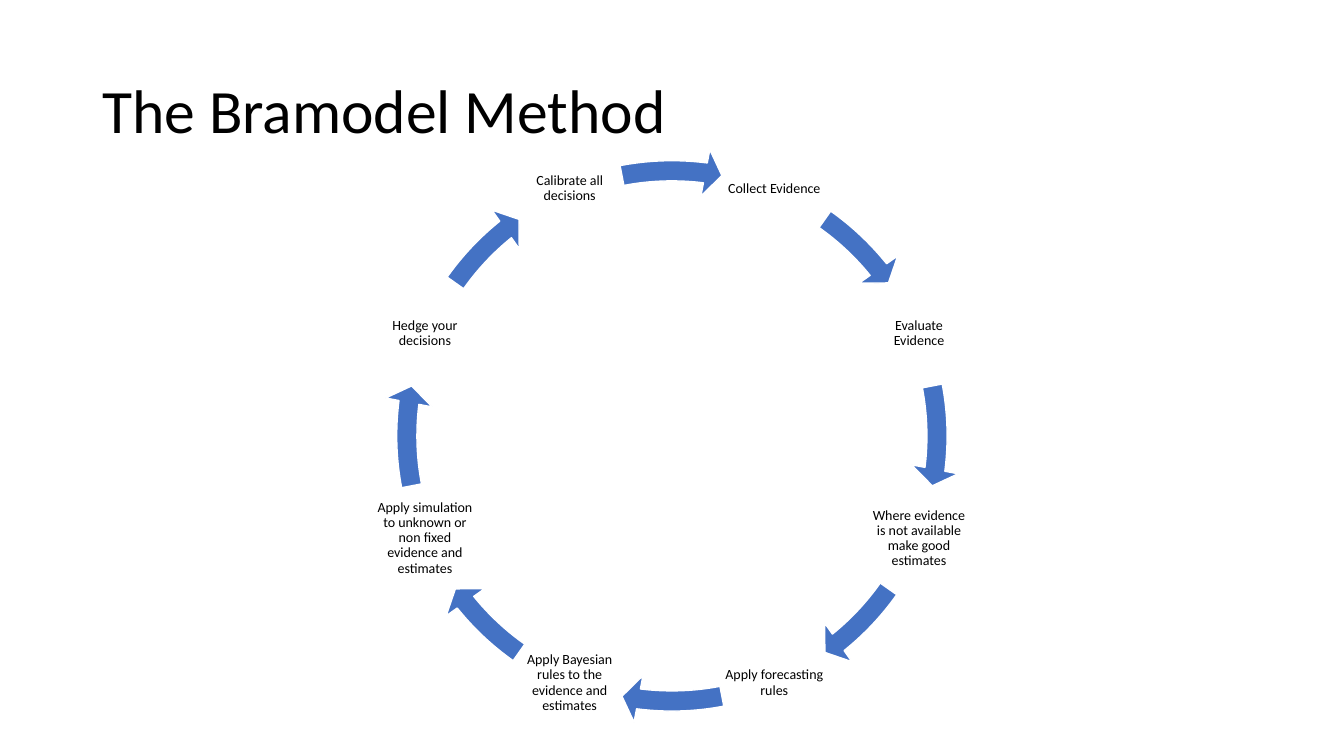
from dataclasses import dataclass
from math import cos, radians, sin

from pptx import Presentation
from pptx.dml.color import RGBColor
from pptx.enum.shapes import MSO_SHAPE
from pptx.enum.text import MSO_ANCHOR, PP_ALIGN
from pptx.slide import Slide
from pptx.util import Pt

CIRCULAR_ARROW = MSO_SHAPE.CIRCULAR_ARROW
MIDDLE = MSO_ANCHOR.MIDDLE
LEFT, CENTER = PP_ALIGN.LEFT, PP_ALIGN.CENTER

BLACK = RGBColor(0x00, 0x00, 0x00)
WHITE = RGBColor(0xFF, 0xFF, 0xFF)
BLUE = RGBColor(0x44, 0x72, 0xC4)
FONT = "Calibri"

CYCLE_X, CYCLE_Y = 480, 311.4
LABEL_RADIUS = 191
LABEL_SIZE = 74.16
ARROW_SIZE = 412.56
ARROW_THICKNESS = 0.035
ARROW_HEAD_WIDTH = 0.041
ARROW_HEAD_ANGLE = 3.62
# Start and end of the first two arrows, in degrees clockwise from the right;
# the pair repeats every quarter turn.
ARROW_SPANS = ((305.24, 321.14), (349.14, 7.24))
ADJUSTMENT_PER_DEGREE = 0.6

TITLE = "The Bramodel Method"
STEPS = (
    "Collect Evidence",
    "Evaluate Evidence",
    "Where evidence is not available make good estimates",
    "Apply forecasting rules",
    "Apply Bayesian rules to the evidence and estimates",
    "Apply simulation to unknown or non fixed evidence and estimates",
    "Hedge your decisions",
    "Calibrate all decisions",
)


@dataclass(frozen=True)
class Box:
    left: float
    top: float
    width: float
    height: float

    def lengths(self) -> tuple[Pt, Pt, Pt, Pt]:
        return Pt(self.left), Pt(self.top), Pt(self.width), Pt(self.height)


@dataclass(frozen=True)
class TextStyle:
    size: float
    alignment: PP_ALIGN
    margin_x: float
    margin_y: float
    space_after: float = 0


TITLE_BOX = Box(66, 28.8, 828, 104.4)
TITLE_STYLE = TextStyle(44, LEFT, 7.2, 3.6)
LABEL_STYLE = TextStyle(10, CENTER, 0.9, 0.9, 3.5)


def centered_square(x: float, y: float, size: float) -> Box:
    return Box(x - size / 2, y - size / 2, size, size)


def add_text(slide: Slide, text: str, box: Box, style: TextStyle) -> None:
    frame = slide.shapes.add_textbox(*box.lengths()).text_frame
    frame.word_wrap = True
    frame.vertical_anchor = MIDDLE
    frame.margin_left = frame.margin_right = Pt(style.margin_x)
    frame.margin_top = frame.margin_bottom = Pt(style.margin_y)
    paragraph = frame.paragraphs[0]
    paragraph.text = text
    paragraph.alignment = style.alignment
    paragraph.line_spacing = 0.9
    paragraph.space_after = Pt(style.space_after)
    paragraph.font.name = FONT
    paragraph.font.size = Pt(style.size)
    paragraph.font.color.rgb = BLACK


def add_label(slide: Slide, text: str, index: int) -> None:
    """Place a step on the circle, clockwise from just right of the top."""
    angle = radians((index + 0.5) * 360 / len(STEPS))
    x = CYCLE_X + LABEL_RADIUS * sin(angle)
    y = CYCLE_Y - LABEL_RADIUS * cos(angle)
    add_text(slide, text, centered_square(x, y, LABEL_SIZE), LABEL_STYLE)


def add_arrow(slide: Slide, index: int) -> None:
    """Draw the arc leading from the step at index to the next one."""
    quarter, side = divmod(index, len(ARROW_SPANS))
    start, end = ((angle + 90 * quarter) % 360 for angle in ARROW_SPANS[side])
    box = centered_square(CYCLE_X, CYCLE_Y, ARROW_SIZE)
    arrow = slide.shapes.add_shape(CIRCULAR_ARROW, *box.lengths())
    adjustments = (
        ARROW_THICKNESS,
        ARROW_HEAD_ANGLE * ADJUSTMENT_PER_DEGREE,
        end * ADJUSTMENT_PER_DEGREE,
        start * ADJUSTMENT_PER_DEGREE,
        ARROW_HEAD_WIDTH,
    )
    for position, value in enumerate(adjustments):
        arrow.adjustments[position] = value
    arrow.shadow.inherit = False
    arrow.fill.solid()
    arrow.fill.fore_color.rgb = BLUE
    arrow.line.color.rgb = WHITE
    arrow.line.width = Pt(1)


def main() -> None:
    presentation = Presentation()
    presentation.slide_width = Pt(960)
    presentation.slide_height = Pt(540)
    slide = presentation.slides.add_slide(presentation.slide_layouts[6])
    add_text(slide, TITLE, TITLE_BOX, TITLE_STYLE)
    for index, step in enumerate(STEPS):
        add_label(slide, step, index)
        add_arrow(slide, index)
    presentation.save("out.pptx")


if __name__ == "__main__":
    main()
